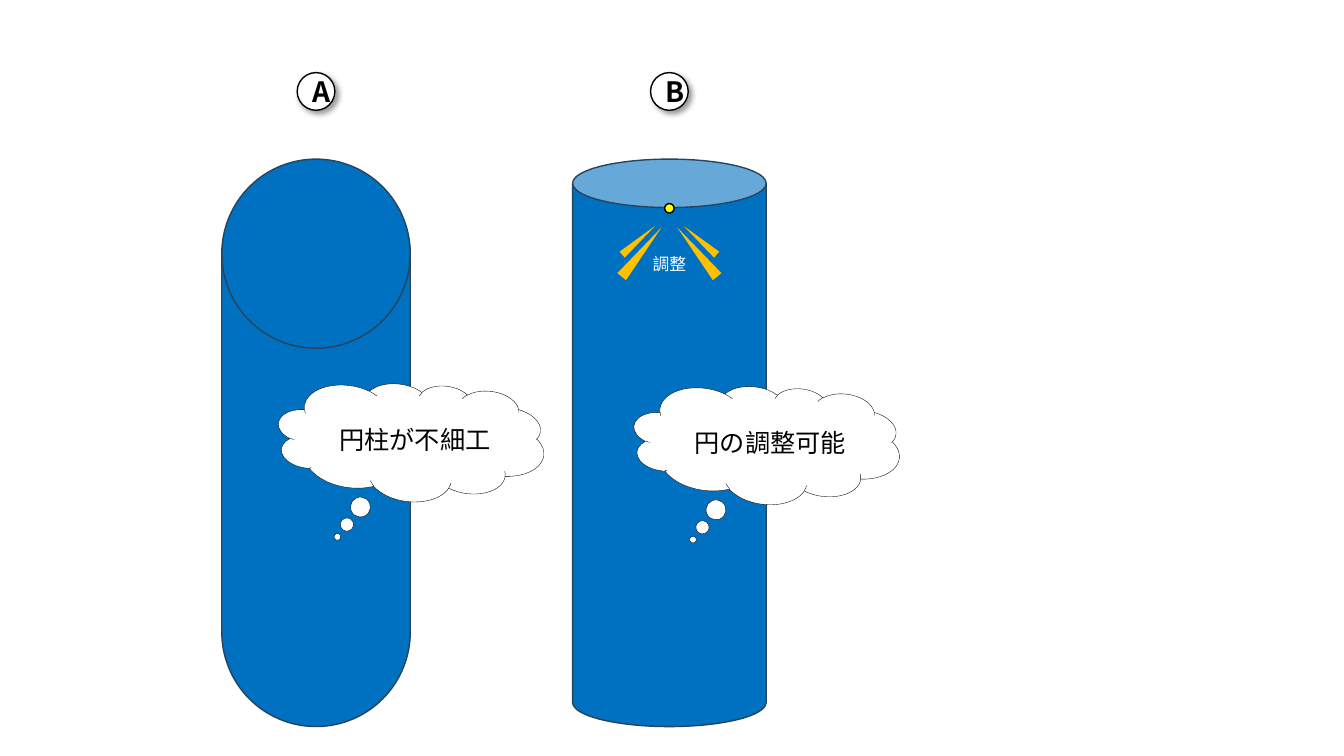
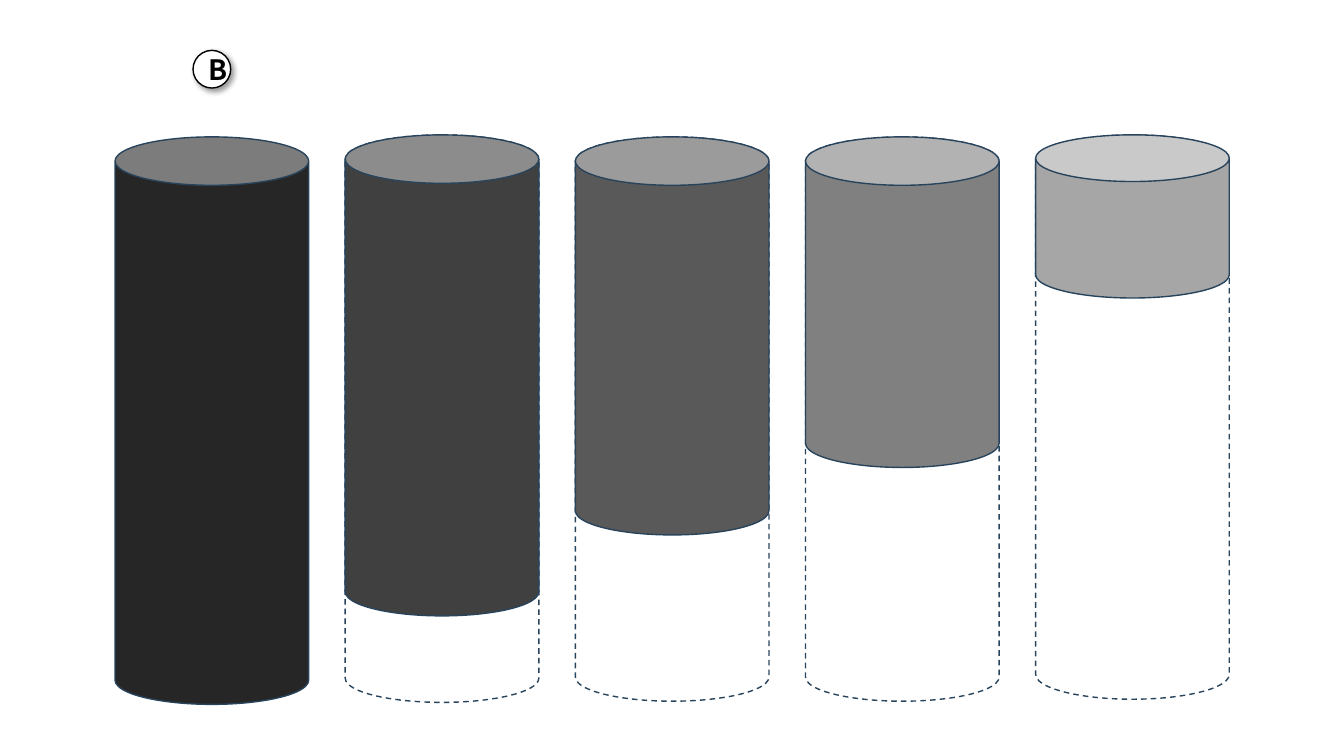
from dataclasses import dataclass

from lxml import etree
from pptx import Presentation
from pptx.dml.color import RGBColor
from pptx.enum.dml import MSO_LINE
from pptx.enum.shapes import MSO_SHAPE
from pptx.enum.text import MSO_ANCHOR, MSO_AUTO_SIZE, PP_ALIGN
from pptx.oxml.ns import qn
from pptx.util import Cm, Pt

CAN, DISK = MSO_SHAPE.CAN, MSO_SHAPE.FLOWCHART_MAGNETIC_DISK
OVAL, RECTANGLE = MSO_SHAPE.OVAL, MSO_SHAPE.RECTANGLE
TRIANGLE, CLOUD = MSO_SHAPE.ISOSCELES_TRIANGLE, MSO_SHAPE.CLOUD_CALLOUT
DASH, MIDDLE, CENTER = MSO_LINE.DASH, MSO_ANCHOR.MIDDLE, PP_ALIGN.CENTER
FIT_TEXT = MSO_AUTO_SIZE.SHAPE_TO_FIT_TEXT


@dataclass(frozen=True)
class Theme:
    font: str = "Noto Sans CJK JP"
    blue: str = "0070C0"
    edge: str = "28445D"
    white: str = "FFFFFF"
    black: str = "000000"
    yellow: str = "FFFF00"
    amber: str = "FFC000"
    grays: tuple = ("262626", "404040", "595959", "808080", "A6A6A6")
    badge_size: int = 20
    thought_size: int = 18
    note_size: int = 12
    outline: float = 1
    hairline: float = 0.25


class Deck:
    def __init__(self, theme):
        self.theme = theme
        self.presentation = Presentation()
        self.presentation.slide_width = Cm(33.87)
        self.presentation.slide_height = Cm(19.05)
        self.page = None

    def add_page(self):
        self.page = self.presentation.slides.add_slide(self.presentation.slide_layouts[6])

    def add_group(self):
        return self.page.shapes.add_group_shape().shapes

    def add_shape(self, kind, left, top, width, height, fill=None, line=None,
                  weight=1, dash=None, rotation=0, adjustments=(), shapes=None):
        shapes = self.page.shapes if shapes is None else shapes
        shape = shapes.add_shape(kind, Cm(left), Cm(top), Cm(width), Cm(height))
        shape.shadow.inherit = False
        shape.rotation = rotation
        for index, value in enumerate(adjustments):
            shape.adjustments[index] = value
        if fill:
            shape.fill.solid()
            shape.fill.fore_color.rgb = RGBColor.from_string(fill)
        else:
            shape.fill.background()
        if line:
            shape.line.color.rgb = RGBColor.from_string(line)
            shape.line.width = Pt(weight)
            if dash:
                shape.line.dash_style = dash
        else:
            shape.line.fill.background()
        return shape

    def add_text(self, shape, text, size, color, bold=False):
        shape.text_frame.vertical_anchor = MIDDLE
        para = shape.text_frame.paragraphs[0]
        para.alignment = CENTER
        span = para.add_run()
        span.text = text
        formats = {"name": self.theme.font, "size": Pt(size), "bold": bold}
        for name, value in formats.items():
            setattr(span.font, name, value)
        span.font.color.rgb = RGBColor.from_string(color)
        properties = span._r.get_or_add_rPr()
        etree.SubElement(properties, qn("a:ea"), typeface=self.theme.font)

    def add_shadow(self, shape):
        effects = shape._element.spPr.find(qn("a:effectLst"))
        shadow = etree.SubElement(
            effects, qn("a:outerShdw"), blurRad=str(Pt(4)), dist=str(Pt(3)),
            dir="2700000", algn="tl", rotWithShape="0")
        color = etree.SubElement(shadow, qn("a:srgbClr"), val=self.theme.black)
        etree.SubElement(color, qn("a:alpha"), val="40000")

    def add_column(self, kind, left, top, width, height, fill=None, dash=None,
                   adjustments=()):
        self.add_shape(kind, left, top, width, height, fill, self.theme.edge,
                       self.theme.outline, dash, adjustments=adjustments)

    def add_badge(self, letter, center, column_top):
        size, rise = 0.95, 2.18
        badge = self.add_shape(OVAL, center - size / 2, column_top - rise, size, size,
                               self.theme.white, self.theme.black, self.theme.outline)
        self.add_shadow(badge)
        self.add_text(badge, letter, self.theme.badge_size, self.theme.black, True)

    def add_handle(self, center, middle):
        size = 0.24
        self.add_shape(OVAL, center - size / 2, middle - size / 2, size, size,
                       self.theme.yellow, self.theme.black, self.theme.outline)

    def add_rays(self, text, center, top):
        group = self.add_group()
        width = 1.37
        box = group.add_textbox(Cm(center - width / 2), Cm(top), Cm(width), Cm(0.76))
        box.text_frame.word_wrap = False
        box.text_frame.auto_size = FIT_TEXT
        self.add_text(box, text, self.theme.note_size, self.theme.white)
        rays = ((0.7, 0.08, 0.28, 1.6, 39), (0.78, -0.21, 0.2, 1.09, 49))
        for reach, drop, width, height, angle in rays:
            for side in (-1, 1):
                self.add_shape(TRIANGLE, center + side * reach - width / 2,
                               top + drop - height / 2, width, height,
                               self.theme.amber, rotation=-side * angle % 360,
                               shapes=group)

    def add_thought(self, text, left, top):
        group = self.add_group()
        self.add_shape(CLOUD, left, top, 6.73, 3, self.theme.white, self.theme.black,
                       self.theme.hairline, rotation=6.6,
                       adjustments=(-0.232, 0.865), shapes=group)
        patches = ((5.18, 1.82, 0.69, 0.28, 62.5), (0.4, 1.45, 0.41, 0.23, 0),
                   (6.12, 1.41, 0.41, 0.23, 337.6), (0.86, 0.66, 5.21, 1.57, 0))
        for across, down, width, height, angle in patches:
            patch = self.add_shape(RECTANGLE, left + across, top + down, width, height,
                                   self.theme.white, rotation=angle, shapes=group)
        self.add_text(patch, text, self.theme.thought_size, self.theme.black)


def build_comparison(deck):
    deck.add_page()
    top, height = 4.01, 14.3
    columns = ((DISK, 5.59, 4.75), (CAN, 14.43, 4.88))
    for kind, left, width in columns:
        deck.add_column(kind, left, top, width, height, deck.theme.blue)
    for letter, (kind, left, width) in zip("AB", columns):
        deck.add_badge(letter, left + width / 2, top)
    can_center = 16.87
    deck.add_handle(can_center, 5.25)
    deck.add_rays("調整", can_center, 6.27)
    deck.add_thought("円柱が不細工", 6.99, 9.63)
    deck.add_thought("円の調整可能", 15.95, 9.7)


def build_levels(deck):
    deck.add_page()
    first_left, pitch, width = 2.9, 5.8, 4.88
    lefts = [first_left + pitch * index for index in range(5)]
    tops = (3.45, 3.4, 3.45, 3.45, 3.4)
    full_heights = (None, 14.3, 14.22, 14.22, 14.22)
    levels = (14.3, 12.12, 10.03, 8.33, 4.11)
    full_curves = (0.25, 0.25, 0.25, 0.25, 0.256)
    level_curves = (0.25, 0.25, 0.25, 0.25, 0.286)
    for left, top, height, curve in zip(lefts, tops, full_heights, full_curves):
        if height:
            deck.add_column(CAN, left, top, width, height, dash=DASH,
                            adjustments=(curve,))
    for left, top, height, fill, curve in zip(lefts, tops, levels, deck.theme.grays,
                                              level_curves):
        deck.add_column(CAN, left, top, width, height, fill, adjustments=(curve,))
    deck.add_badge("B", first_left + width / 2, tops[0])


def main():
    deck = Deck(Theme())
    build_comparison(deck)
    build_levels(deck)
    deck.presentation.save("out.pptx")


if __name__ == "__main__":
    main()
